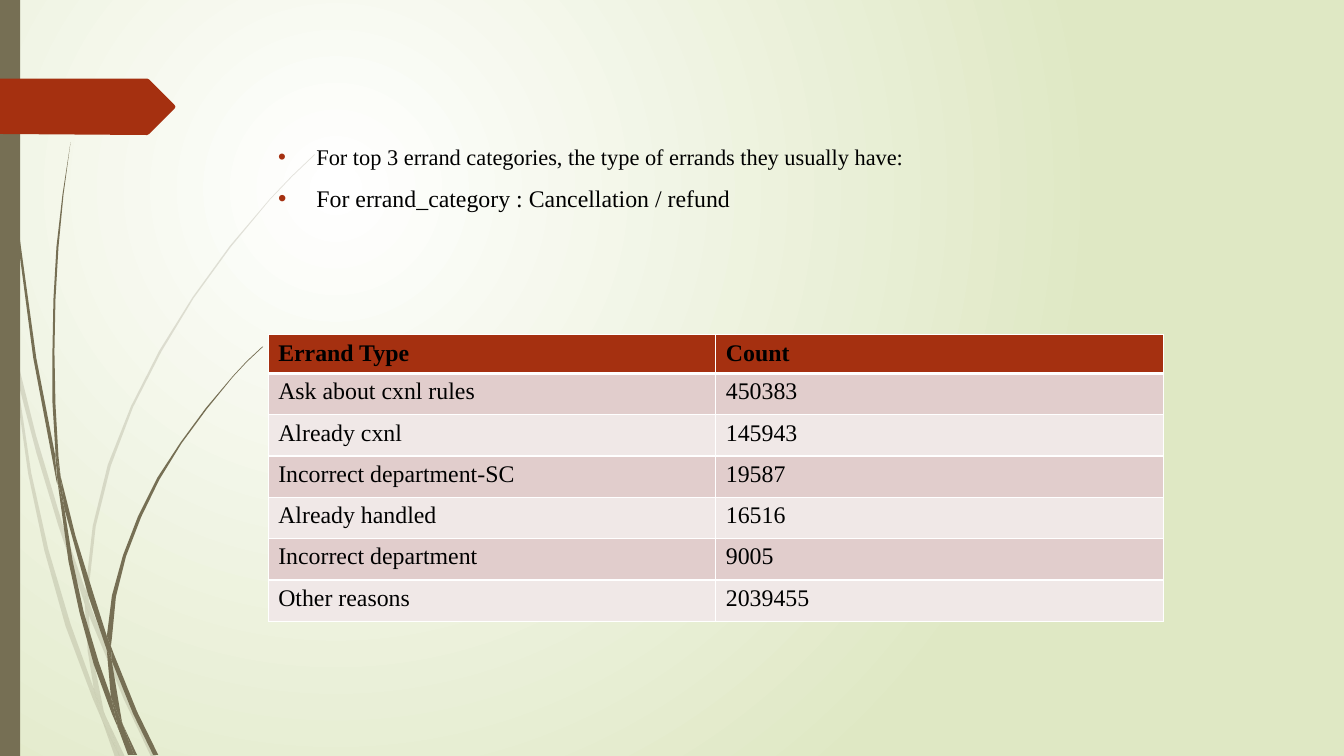
"""Builds the errand type slide: a table of counts beside curved grass stems."""
from dataclasses import dataclass

from lxml import etree
from pptx import Presentation
from pptx import util as u
from pptx.dml.color import RGBColor
from pptx.enum import shapes
from pptx.oxml.ns import qn


@dataclass(frozen=True)
class Theme:
    font: str = "Times New Roman"
    intro: int = 16
    body: int = 17
    text: str = "000000"
    accent: str = "A53010"
    stem: str = "766F54"
    border: str = "FFFFFF"
    odd_row: str = "E1CDCC"
    even_row: str = "F0E8E7"
    glow: tuple = ("FFFFFF", "DFE8C4")


theme = Theme()


def draw_outline(parent, corners, colour, opacity=100):
    """Draw a closed filled outline from a string of x y pairs in inches."""
    lengths = [u.Inches(float(number)) for number in corners.split()]
    points = list(zip(lengths[::2], lengths[1::2]))
    builder = parent.build_freeform(*points[0])
    builder.add_line_segments(points[1:], close=True)
    outline = builder.convert_to_shape()
    outline.shadow.inherit = False
    outline.fill.solid()
    outline.fill.fore_color.rgb = RGBColor.from_string(colour)
    outline.line.fill.background()
    if opacity < 100:
        tint = outline.element.spPr.find(qn("a:solidFill"))[0]
        etree.SubElement(tint, qn("a:alpha"), val=str(opacity * 1000))


def write_run(paragraph, words, size, bold=False):
    """Add one run in the slide's typeface."""
    run = paragraph.add_run()
    run.text = words
    run.font.name = theme.font
    run.font.size = u.Pt(size)
    run.font.bold = bold
    run.font.color.rgb = RGBColor.from_string(theme.text)


deck = Presentation()
deck.slide_width, deck.slide_height = u.Inches(13.33), u.Inches(7.5)
slide = deck.slides.add_slide(deck.slide_layouts[6])

backdrop = slide.background.fill
backdrop.gradient()
for stop, colour in zip(backdrop.gradient_stops, theme.glow):
    stop.color.rgb = RGBColor.from_string(colour)
gradient = slide.element.xpath(".//p:bg//a:gradFill")[0]
gradient.remove(gradient.find(qn("a:lin")))
glow_path = etree.Element(qn("a:path"), path="circle")
etree.SubElement(glow_path, qn("a:fillToRect"), l="50000", t="50000", r="100000", b="100000")
gradient.find(qn("a:gsLst")).addnext(glow_path)

pale_stems = [
    "0.11 3.5 0.09 3.22 0 2.82 0 2.99 0.1 3.44",
    "0.58 5.22 0.84 5.99 0.85 5.86 0.62 5.2 0.36 4.33 0.14 3.45 0.17 3.76 0.36 4.49",
    "0.92 6.07 0.88 5.96 0.88 6.1 1.23 6.94 1.5 7.51 1.55 7.51 1.27 6.92",
    "1.19 7.51 1.24 7.51 1.05 7.11",
    "0.93 6.83 0.7 6.19 0.48 5.45 0.31 4.69 0.17 3.76 0.11 3.5 0.28 4.7 0.44 5.46 "
    "0.65 6.21 0.92 6.93 1.01 7.14 0.99 7.07",
    "0.84 5.99 0.87 6.46 0.93 6.83 0.96 6.92 1.05 7.11 1.03 7.06 0.91 6.46 0.88 6.1 0.88 6.08",
    "0.88 5.84 0.95 5.22 1.1 4.62 1.32 4.04 1.6 3.49 1.92 2.96 2.29 2.45 2.68 1.98 2.9 1.75 "
    "3.12 1.54 3.12 1.53 2.89 1.75 2.68 1.97 2.28 2.44 1.91 2.95 1.58 3.48 1.3 4.03 "
    "1.07 4.61 0.92 5.22 0.85 5.84 0.85 5.86 0.88 5.96",
    "1.01 7.14 1.14 7.51 1.19 7.51",
    "0.88 6.08 0.88 6.1 0.88 5.96 0.85 5.86 0.84 5.99",
    "0.96 6.92 0.93 6.83 0.99 7.07 1.01 7.14 1.19 7.51 1.05 7.11",
]
dark_stems = [
    "0.07 1.1 0.17 2.33 0.33 3.55 0.56 4.77 0.57 4.81 0.55 4.57 0.55 4.53 0.36 3.55 "
    "0.19 2.32 0.08 1.09 0.05 0.48 0.04 0 0.03 0 0.04 0.48",
    "0.88 5.92 1.06 6.45 1.06 6.31 0.93 5.9 0.75 5.32 0.6 4.72 0.64 5.05",
    "1.13 6.49 1.1 6.41 1.11 6.56 1.32 7.08 1.52 7.49 1.57 7.49 1.36 7.06",
    "1.1 6.91 0.98 6.57 0.83 6.07 0.72 5.56 0.64 5.05 0.57 4.77 0.68 5.57 0.79 6.08 "
    "0.93 6.59 1.11 7.08 1.17 7.22 1.16 7.17",
    "0.6 4.72 0.58 4.53 0.55 4.01 0.54 3.49 0.55 2.97 0.58 2.45 0.63 1.93 0.7 1.41 "
    "0.62 1.93 0.56 2.45 0.53 2.97 0.52 3.49 0.52 3.99 0.55 4.49",
    "1.33 7.49 1.36 7.49 1.22 7.19",
    "0.57 4.77 0.64 5.05 0.6 4.72 0.55 4.49 0.55 4.53",
    "1.11 6.33 1.15 5.92 1.25 5.52 1.4 5.13 1.58 4.76 1.8 4.4 2.05 4.06 2.31 3.74 2.45 3.59 "
    "2.61 3.44 2.6 3.44 2.45 3.58 2.31 3.73 2.04 4.05 1.79 4.39 1.56 4.74 1.37 5.12 "
    "1.22 5.51 1.11 5.91 1.06 6.31 1.1 6.41",
    "1.17 7.22 1.27 7.49 1.31 7.49",
    "1.06 6.45 1.1 6.91 1.16 7.06 1.22 7.19 1.21 7.16 1.11 6.56 1.09 6.51",
    "1.06 6.45 1.09 6.51 1.11 6.56 1.1 6.41 1.06 6.31",
    "1.16 7.06 1.1 6.91 1.16 7.17 1.17 7.22 1.3 7.49 1.33 7.49 1.22 7.19",
]
for stems, opacity in ((pale_stems, 20), (dark_stems, 100)):
    tuft = slide.shapes.add_group_shape()
    for stem in stems:
        draw_outline(tuft.shapes, stem, theme.stem, opacity)

side_bar = slide.shapes.add_shape(shapes.MSO_SHAPE.RECTANGLE, 0, 0, u.Inches(0.2), u.Inches(7.5))
side_bar.shadow.inherit = False
side_bar.fill.solid()
side_bar.fill.fore_color.rgb = RGBColor.from_string(theme.stem)
side_bar.line.fill.background()
page_tag = "0 0.78 1.46 0.78 1.48 0.79 1.73 1.04 1.74 1.06 1.73 1.08 1.48 1.33 1.46 1.34 0 1.33"
draw_outline(slide.shapes, page_tag, theme.accent)

intro = slide.shapes.add_textbox(u.Inches(2.66), u.Inches(1.37), u.Inches(9.75), u.Inches(1.1)).text_frame
intro.word_wrap = True
intro_lines = [("For top 3 errand categories, the type of errands they usually have:", theme.intro),
               ("For errand_category : Cancellation / refund", theme.body)]
for index, (words, size) in enumerate(intro_lines):
    point = intro.add_paragraph() if index else intro.paragraphs[0]
    point.space_before = u.Pt(10)
    layout = point._p.get_or_add_pPr()
    layout.set("marL", str(u.Inches(0.38)))
    layout.set("indent", str(-u.Inches(0.38)))
    bullet_colour = etree.SubElement(layout, qn("a:buClr"))
    etree.SubElement(bullet_colour, qn("a:srgbClr"), val=theme.accent)
    etree.SubElement(layout, qn("a:buFont"), typeface="Arial")
    etree.SubElement(layout, qn("a:buChar"), char="•")
    write_run(point, words, size)

errands = [("Errand Type", "Count"), ("Ask about cxnl rules", "450383"), ("Already cxnl", "145943"),
           ("Incorrect department-SC", "19587"), ("Already handled", "16516"),
           ("Incorrect department", "9005"), ("Other reasons", "2039455")]
counts = slide.shapes.add_table(len(errands), 2, u.Inches(2.66), u.Inches(3.32),
                                u.Inches(8.88), u.Inches(2.82)).table
for column in counts.columns:
    column.width = u.Inches(4.44)
for row, entries in enumerate(errands):
    counts.rows[row].height = u.Inches(0.41 if row else 0.36)
    row_fill = (theme.odd_row if row % 2 else theme.even_row) if row else theme.accent
    for column, words in enumerate(entries):
        cell = counts.cell(row, column)
        write_run(cell.text_frame.paragraphs[0], words, theme.body, bold=row == 0)
        cell.fill.solid()
        cell.fill.fore_color.rgb = RGBColor.from_string(row_fill)
        for position, side in enumerate("LRTB"):
            under_header = (row, side) in ((0, "B"), (1, "T"))
            border = etree.Element(qn(f"a:ln{side}"), w=str(u.Pt(3 if under_header else 1)))
            paint = etree.SubElement(border, qn("a:solidFill"))
            etree.SubElement(paint, qn("a:srgbClr"), val=theme.border)
            cell._tc.get_or_add_tcPr().insert(position, border)

deck.save("out.pptx")
